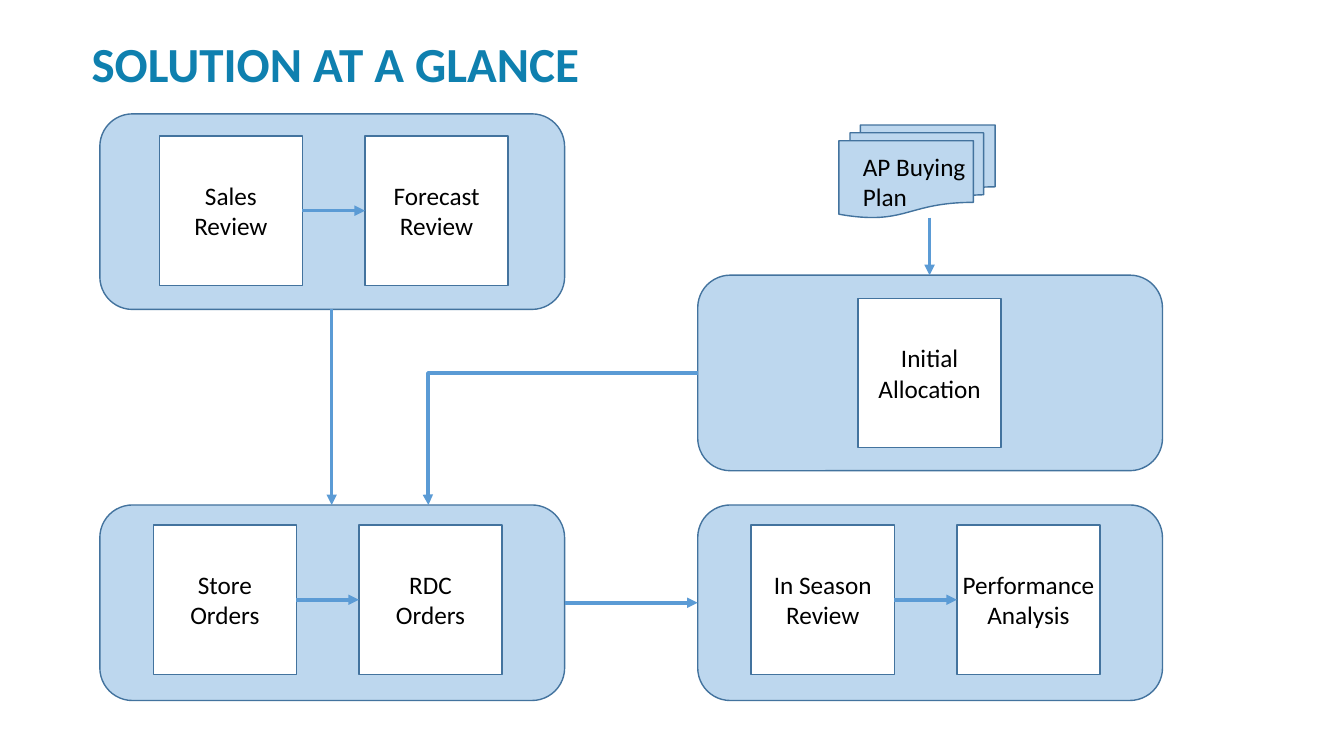
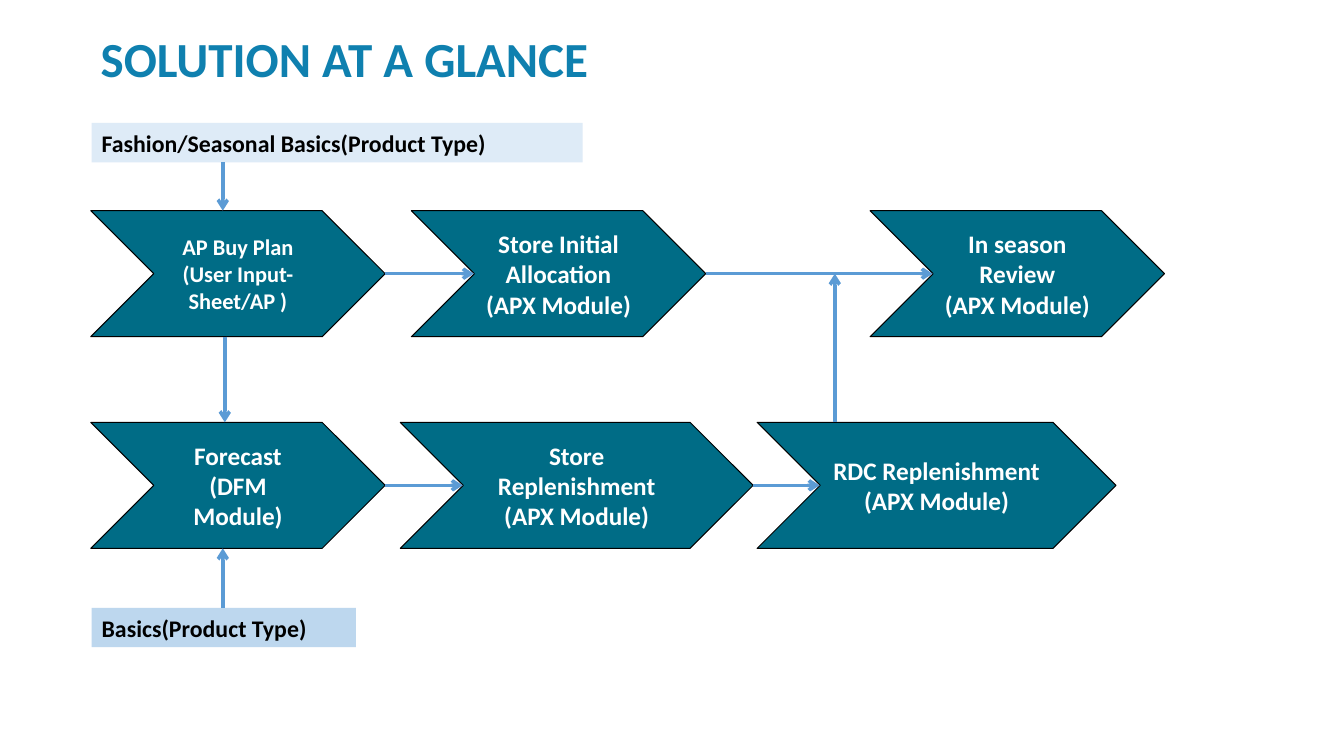
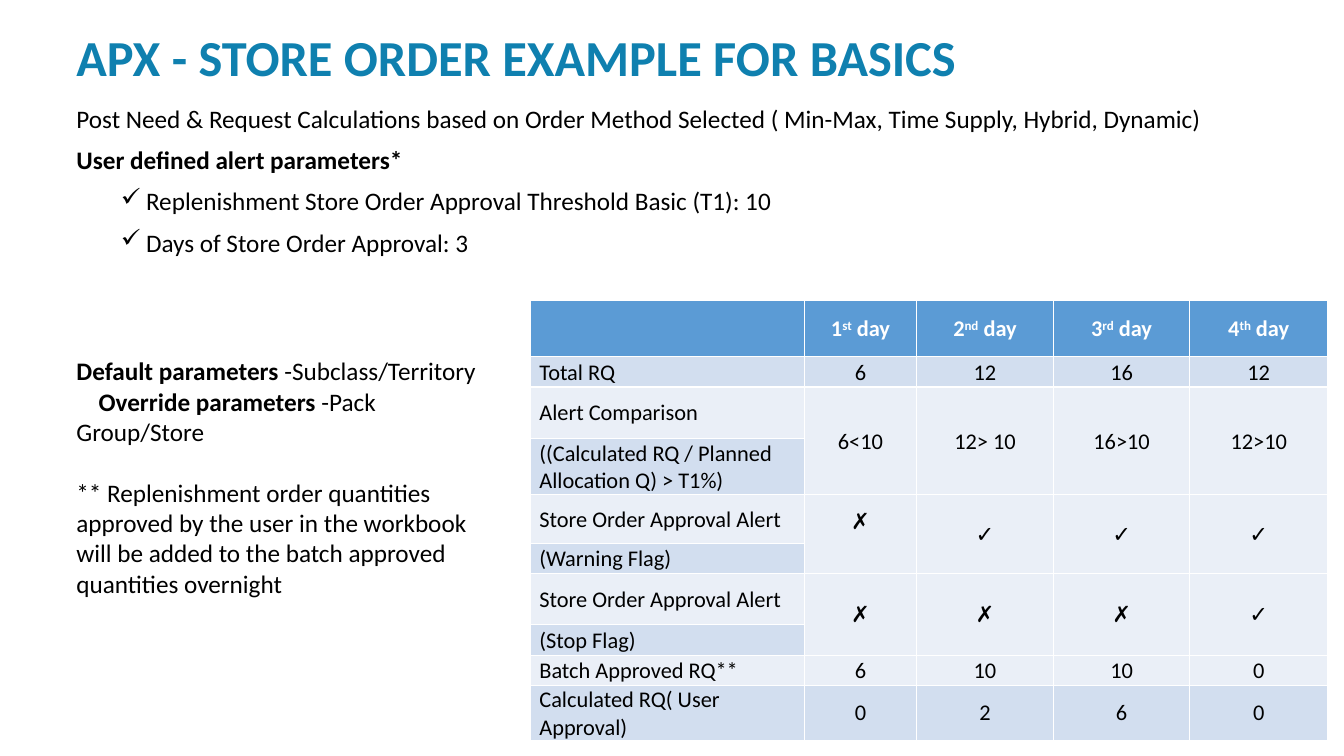
from lxml.etree import SubElement
from pptx import Presentation
from pptx.dml.color import RGBColor
from pptx.enum.shapes import MSO_CONNECTOR, MSO_SHAPE
from pptx.enum.text import MSO_ANCHOR, PP_ALIGN
from pptx.oxml.ns import qn
from pptx.util import Inches, Pt

# Shared look
FONT = "Calibri"
TITLE, BLACK, WHITE = "0F80AF", "000000", "FFFFFF"
PALE, MIST, EDGE, ARROW, TEAL = "BDD7EE", "DEEBF7", "43739E", "5B9BD5", "006C86"
HEAD, ODD, EVEN = "5B9BD5", "D2DEEF", "EAEFF7"

# Slide 1 grid
LEFT, RIGHT, LOW = 0.99, 6.92, 5.01
PAN_W, PAN_H = 4.61, 1.94
BOX_W, BOX_H, PITCH = 1.42, 1.48, 2.04


def paint(hue):
    return RGBColor.from_string(hue)


def place(*nums):
    return [Inches(n) for n in nums]


def style(para, size=18, hue=BLACK, bold=None, align=None):
    font = para.font
    font.name, font.size, font.bold = FONT, Pt(size), bold
    font.color.rgb = paint(hue)
    para.alignment = align


def fill_text(frame, lines, **look):
    """Each line is a string, or a list of (text, bold) runs."""
    frame.word_wrap = True
    for i, line in enumerate(lines):
        para = frame.paragraphs[0] if i == 0 else frame.add_paragraph()
        style(para, **look)
        if isinstance(line, str):
            para.text = line
            continue
        for text, bold in line:
            run = para.add_run()
            run.text, run.font.bold = text, bold
    return frame.paragraphs


def add_text(slide, at, lines, **look):
    frame = slide.shapes.add_textbox(*place(*at)).text_frame
    return frame, fill_text(frame, lines, **look)


def add_title(slide, at, text, size=35):
    frame, paras = add_text(slide, at, [text], size=size, hue=TITLE, bold=True)
    frame.vertical_anchor = MSO_ANCHOR.MIDDLE
    paras[0].line_spacing = 0.9


def add_shape(slide, kind, at, hue, line=None, width=1):
    shape = slide.shapes.add_shape(kind, *place(*at))
    shape.shadow.inherit = False
    shape.fill.solid()
    shape.fill.fore_color.rgb = paint(hue)
    if line:
        shape.line.color.rgb = paint(line)
        shape.line.width = Pt(width)
    else:
        shape.line.fill.background()
    return shape


def add_arrow(slide, x1, y1, x2, y2, tip="triangle", bend=None):
    kind = MSO_CONNECTOR.ELBOW if bend else MSO_CONNECTOR.STRAIGHT
    link = slide.shapes.add_connector(kind, *place(x1, y1, x2, y2))
    link.line.color.rgb = paint(ARROW)
    link.line.width = Pt(2.5)
    props = link._element.spPr
    SubElement(link.line._get_or_add_ln(), qn("a:tailEnd"), type=tip)
    SubElement(props, qn("a:effectLst"))
    if bend:
        guides = props.find(qn("a:prstGeom")).find(qn("a:avLst"))
        SubElement(guides, qn("a:gd"), name="adj1", fmla=f"val {bend}")


# Slide 1: panels of white boxes
def add_panel(slide, x, y, dx, dy, labels):
    add_shape(slide, MSO_SHAPE.ROUNDED_RECTANGLE, (x, y, PAN_W, PAN_H), PALE, EDGE)
    top = y + dy
    for i, label in enumerate(labels):
        left = x + dx + i * PITCH
        box = add_shape(slide, MSO_SHAPE.RECTANGLE, (left, top, BOX_W, BOX_H), WHITE, EDGE)
        frame = box.text_frame
        frame.margin_left = frame.margin_right = 0
        fill_text(frame, label.split("|"), align=PP_ALIGN.CENTER)
        if i:
            mid = top + BOX_H / 2
            add_arrow(slide, left - PITCH + BOX_W, mid, left, mid)


def draw_glance(slide):
    add_title(slide, (0.81, 0.2, 11.5, 0.93), "SOLUTION AT A GLANCE")
    add_panel(slide, LEFT, 1.13, 0.59, 0.22, ["Sales|Review", "Forecast|Review"])
    add_panel(slide, RIGHT, 2.73, 1.59, 0.23, ["Initial|Allocation"])
    add_panel(slide, LEFT, LOW, 0.53, 0.2, ["Store|Orders", "RDC|Orders"])
    add_panel(slide, RIGHT, LOW, 0.53, 0.2, ["In Season|Review", "Performance|Analysis"])
    add_shape(slide, MSO_SHAPE.FLOWCHART_MULTIDOCUMENT, (8.32, 1.24, 1.55, 0.92), PALE, EDGE)
    add_text(slide, (8.46, 1.45, 1.52, 0.71), ["AP Buying Plan"])
    # Arrows between panels
    mid = LOW + PAN_H / 2
    add_arrow(slide, 9.22, 2.16, 9.22, 2.73)
    add_arrow(slide, 3.29, 1.13 + PAN_H, 3.29, LOW)
    add_arrow(slide, LEFT + PAN_W, mid, RIGHT, mid)
    add_arrow(slide, RIGHT, 2.73 + PAN_H / 2, 4.25, LOW, bend=100200)


# Slide 2: chevron flow
def draw_flow(slide):
    add_title(slide, (0.9, 0.23, 11.5, 0.77), "SOLUTION AT A GLANCE")
    top, low, wide, high = 2.09, 4.19, 2.92, 1.25
    steps = [
        (0.9, top, wide, 16, "AP Buy Plan", "(User Input-Sheet/AP )"),
        (4.08, top, wide, 18, "Store Initial Allocation", "(APX Module)"),
        (8.63, top, wide, 18, "In season Review", "(APX Module)"),
        (0.9, low, wide, 18, "Forecast", "(DFM Module)"),
        (3.97, low, 3.5, 18, "Store Replenishment", "(APX Module)"),
        (7.51, low, 3.56, 18, "RDC Replenishment", "(APX Module)"),
    ]
    for x, y, w, size, *lines in steps:
        step = add_shape(slide, MSO_SHAPE.CHEVRON, (x, y, w, high), TEAL, BLACK, 0.75)
        fill_text(step.text_frame, lines, size=size, hue=WHITE, bold=True, align=PP_ALIGN.CENTER)
    # Product type labels
    tags = [
        (1.22, 4.87, MIST, "Fashion/Seasonal Basics(Product Type)"),
        (6.03, 2.62, PALE, "Basics(Product Type)"),
    ]
    for y, w, hue, text in tags:
        tag = add_shape(slide, MSO_SHAPE.RECTANGLE, (0.91, y, w, 0.39), hue)
        fill_text(tag.text_frame, [text], size=17, bold=True, align=PP_ALIGN.LEFT)
    # Arrows along each row, then up and down
    for y, spans in [
        (top + high / 2, [(3.82, 4.7), (7, 9.25)]),
        (low + high / 2, [(3.82, 4.59), (7.47, 8.13)]),
    ]:
        for start, end in spans:
            add_arrow(slide, start, y, end, y, "arrow")
    for x, start, end in [
        (2.21, 1.61, top), (2.23, top + high, low),
        (2.21, 6.03, low + high), (8.28, low, top + high / 2),
    ]:
        add_arrow(slide, x, start, x, end, "arrow")


# Slide 3: notes and table
def indent(para, first, left=0):
    props = para._p.get_or_add_pPr()
    props.set("marL", str(Inches(left)))
    props.set("indent", str(Inches(first)))
    return props


def set_cell(cell, text, hue, centre=True):
    cell.fill.solid()
    cell.fill.fore_color.rgb = paint(hue)
    cell.vertical_anchor = MSO_ANCHOR.MIDDLE
    cell.margin_left = Inches(0.01 if centre else 0.09)
    cell.margin_right = cell.margin_top = Inches(0.01)
    cell.margin_bottom = 0
    fill_text(cell.text_frame, [text], size=16, align=PP_ALIGN.CENTER if centre else None)


def add_table(slide):
    rows = [
        ("Total RQ", "6", "12", "16", "12"),
        ("Alert Comparison", "6<10", "12> 10", "16>10", "12>10"),
        ("((Calculated RQ / Planned Allocation Q) > T1%)",),
        ("Store Order Approval Alert", "✗", "✓", "✓", "✓"),
        ("(Warning Flag)",),
        ("Store Order Approval Alert", "✗", "✗", "✗", "✓"),
        ("(Stop Flag)",),
        ("Batch Approved RQ**", "6", "10", "10", "0"),
        ("Calculated RQ( User Approval)", "0", "2", "6", "0"),
    ]
    widths = [2.72, 1.11, 1.36, 1.35, 1.37]
    highs = [0.56, 0.3, 0.51, 0.56, 0.48, 0.3, 0.51, 0.3, 0.3, 0.52]
    at = place(5.26, 2.98, sum(widths), sum(highs))
    table = slide.shapes.add_table(len(highs), len(widths), *at).table
    for col, w in zip(table.columns, widths):
        col.width = Inches(w)
    for row, h in zip(table.rows, highs):
        row.height = Inches(h)
    # Header with raised ordinals
    for c, mark in enumerate(["", "st", "nd", "rd", "th"]):
        cell = table.cell(0, c)
        set_cell(cell, str(c) if c else "", HEAD)
        para = cell.text_frame.paragraphs[0]
        style(para, 16, WHITE, True, PP_ALIGN.CENTER)
        if mark:
            run = para.add_run()
            run.text = mark
            run._r.get_or_add_rPr().set("baseline", "30000")
            para.add_run().text = " day"
    # A row with only a label shares the values of the row above
    for r, (label, *vals) in enumerate(rows, 1):
        hue = ODD if r % 2 else EVEN
        set_cell(table.cell(r, 0), label, hue, centre=False)
        for c, val in enumerate(vals, 1):
            set_cell(table.cell(r, c), val, hue)
        if not vals:
            for c in range(1, len(widths)):
                table.cell(r - 1, c).merge(table.cell(r, c))
    table.cell(4, 1).margin_bottom = Inches(0.26)


def draw_order(slide):
    add_title(slide, (0.66, 0.18, 11.08, 0.83), "APX - STORE ORDER EXAMPLE FOR BASICS", 36)
    _, paras = add_text(slide, (0.66, 1.01, 12.41, 1.64), [
        "Post Need & Request Calculations based on Order Method Selected "
        "( Min-Max, Time Supply, Hybrid, Dynamic)",
        [("User defined alert parameters*", True)],
        "Replenishment Store Order Approval Threshold Basic (T1): 10",
        "Days of Store Order Approval: 3",
    ])
    for para in paras:
        para.line_spacing, para.space_before = 0.9, Pt(10)
    for para in paras[2:]:
        mark = indent(para, -0.25, 0.69).makeelement(qn("a:buChar"), char="✓")
        para._p.pPr.find(qn("a:defRPr")).addprevious(mark)
    add_table(slide)
    _, paras = add_text(slide, (0.66, 3.48, 4.46, 2.52), [
        [("Default parameters ", True), ("-Subclass/Territory", False)],
        [("Override parameters ", True), ("-Pack Group/Store", False)],
        "** Replenishment order quantities approved by the user in the workbook "
        "will be added to the batch approved quantities overnight",
    ])
    indent(paras[1], 0.22)
    paras[2].space_before = Pt(22)


def main():
    deck = Presentation()
    deck.slide_width, deck.slide_height = place(13.33, 7.5)
    for draw in (draw_glance, draw_flow, draw_order):
        draw(deck.slides.add_slide(deck.slide_layouts[6]))
    deck.save("out.pptx")


if __name__ == "__main__":
    main()
